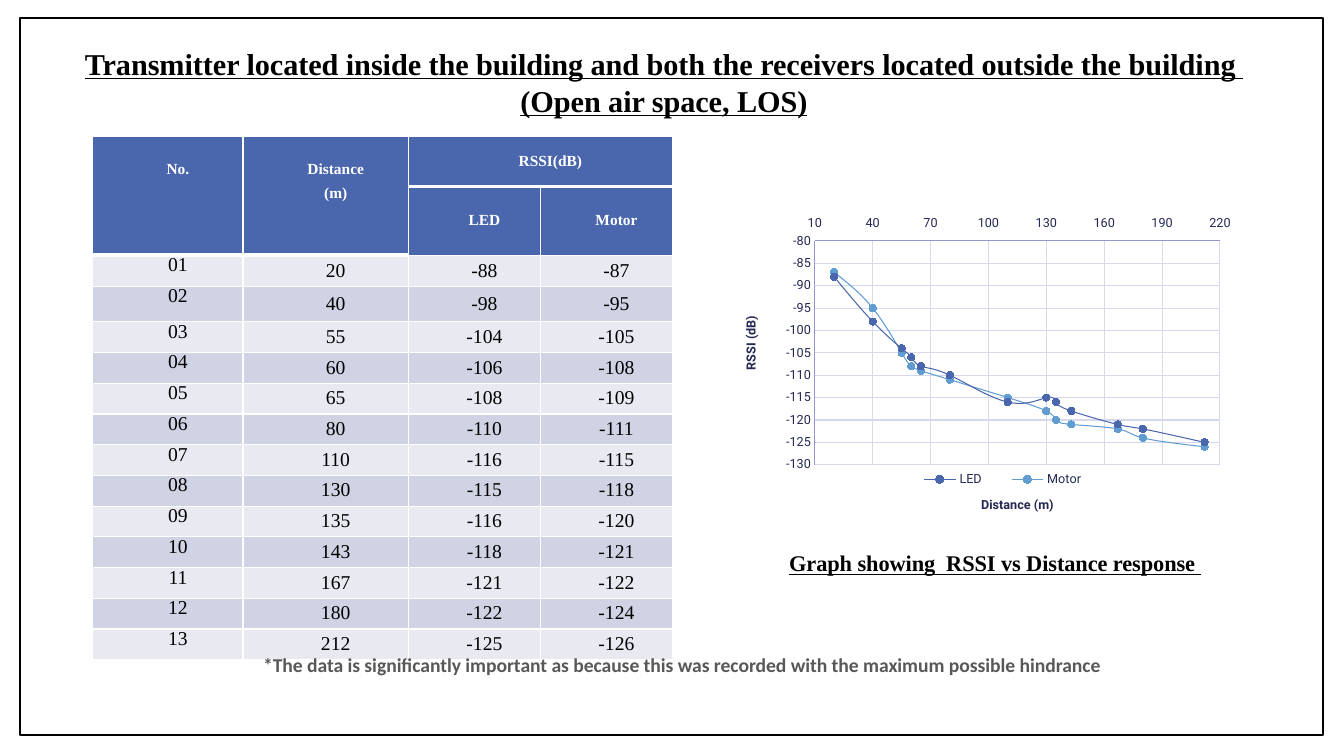
from lxml import etree
from pptx import Presentation
from pptx import util as u
from pptx.chart.data import XyChartData
from pptx.dml.color import RGBColor
from pptx.enum import chart as ch, shapes, text
from pptx.oxml import parse_xml
from pptx.oxml.ns import nsdecls, qn

BLACK = RGBColor(0x00, 0x00, 0x00)
WHITE = RGBColor(0xFF, 0xFF, 0xFF)
GRAY = RGBColor(0x58, 0x58, 0x58)
BLUE = RGBColor(0x4A, 0x66, 0xAC)
SKY = RGBColor(0x62, 0x9D, 0xD1)
NAVY = RGBColor(0x24, 0x28, 0x52)
AXIS = RGBColor(0x92, 0x97, 0xCF)
GRID = RGBColor(0xD6, 0xD8, 0xED)
BANDS = (RGBColor(0xE9, 0xEA, 0xF1), RGBColor(0xD0, 0xD3, 0xE3))

DISTANCE = [20, 40, 55, 60, 65, 80, 110, 130, 135, 143, 167, 180, 212]
LED = [-88, -98, -104, -106, -108, -110, -116, -115, -116, -118, -121, -122, -125]
MOTOR = [-87, -95, -105, -108, -109, -111, -115, -118, -120, -121, -122, -124, -126]


class SlideBuilder:
    serif = "Times New Roman"
    sans = "Calibri"
    chart_font = "Roboto"

    def __init__(self, slide):
        self.s = slide

    def font(self, font, name, size, color, bold=False, underline=False):
        font.name, font.size = name, u.Pt(size)
        font.bold, font.underline = bold, underline
        font.color.rgb = color

    def textbox(self, box, words, name, size, color, underline=False,
                align=text.PP_ALIGN.CENTER, margins=(0.1, 0.05), spacing=-5, line=None):
        tf = self.s.shapes.add_textbox(*map(u.Inches, box)).text_frame
        tf.word_wrap = True
        tf.margin_left = tf.margin_right = u.Inches(margins[0])
        tf.margin_top = tf.margin_bottom = u.Inches(margins[1])
        tf.text = words
        p = tf.paragraphs[0]
        p.alignment, p.line_spacing = align, line
        for r in p.runs:
            self.font(r.font, name, size, color, True, underline)
            r.font._element.set("spc", str(spacing))

    def frame(self, box, width):
        sp = self.s.shapes.add_shape(shapes.MSO_SHAPE.RECTANGLE, *map(u.Inches, box))
        sp.shadow.inherit = False
        sp.fill.background()
        sp.line.color.rgb, sp.line.width = BLACK, u.Pt(width)

    def table(self, box, widths, heights):
        gf = self.s.shapes.add_table(len(heights), len(widths), *map(u.Inches, box))
        tbl = gf.table
        tbl.first_row = tbl.horz_banding = False
        for col, w in zip(tbl.columns, widths):
            col.width = u.Inches(w)
        for row, h in zip(tbl.rows, heights):
            row.height = u.Inches(h)
        return tbl

    def cell(self, cell, words, size, color, fill, bold=False, top=None, bottom_line=1):
        """Fill one cell; a given top margin anchors its text at the top."""
        cell.margin_left, cell.margin_right = u.Inches(0.27), u.Inches(0.07)
        cell.margin_top, cell.margin_bottom = u.Inches(top or 0), 0
        cell.vertical_anchor = (text.MSO_ANCHOR.MIDDLE if top is None
                                else text.MSO_ANCHOR.TOP)
        cell.fill.solid()
        cell.fill.fore_color.rgb = fill
        cell.text_frame.text = words
        for p in cell.text_frame.paragraphs:
            p.alignment, p.line_spacing = text.PP_ALIGN.CENTER, 0.95
            self.font(p.font, self.serif, size, color, bold)
            for r in p.runs:
                self.font(r.font, self.serif, size, color, bold)
        for p in cell.text_frame.paragraphs[:-1]:
            p.space_after = u.Pt(6)
        tcPr = cell._tc.get_or_add_tcPr()
        for i, side in enumerate("LRTB"):
            width = u.Pt(bottom_line if side == "B" else 1)
            tcPr.insert(i, parse_xml(
                f'<a:ln{side} {nsdecls("a")} w="{width}"><a:solidFill>'
                f'<a:srgbClr val="{WHITE}"/></a:solidFill></a:ln{side}>'))

    def place(self, element, index, inner=False, **fractions):
        """Give a chart part a manual layout in fractions of the chart."""
        old = element.find(qn("c:layout"))
        if old is not None:
            element.remove(old)
        layout = parse_xml(f'<c:layout {nsdecls("c")}><c:manualLayout/></c:layout>')
        values = {"layoutTarget": "inner"} if inner else {}
        values.update(xMode="edge", yMode="edge", **fractions)
        for tag, value in values.items():
            etree.SubElement(layout[0], qn(f"c:{tag}")).set("val", str(value))
        element.insert(index, layout)

    def axis(self, axis, title, low, high, step, x, y):
        axis.minimum_scale, axis.maximum_scale, axis.major_unit = low, high, step
        axis.major_tick_mark = axis.minor_tick_mark = ch.XL_TICK_MARK.NONE
        axis.has_major_gridlines = True
        for line, color in ((axis.format.line, AXIS), (axis.major_gridlines.format.line, GRID)):
            line.color.rgb, line.width = color, u.Pt(0.75)
        self.font(axis.tick_labels.font, self.chart_font, 9, NAVY)
        tf = axis.axis_title.text_frame
        tf.text = title
        self.font(tf.paragraphs[0].runs[0].font, self.chart_font, 9, NAVY, True)
        self.place(axis.axis_title._element, 1, x=x, y=y)

    def scatter(self, box, xs, series):
        data = XyChartData()
        for name, ys, _ in series:
            points = data.add_series(name)
            for x, y in zip(xs, ys):
                points.add_data_point(x, y)
        chart = self.s.shapes.add_chart(ch.XL_CHART_TYPE.XY_SCATTER_SMOOTH,
                                        *map(u.Inches, box), data).chart
        chart.has_title = False
        self.font(chart.font, self.chart_font, 10, BLACK)
        plot = chart.plots[0]
        plot.vary_by_categories = False
        for ser, (_, _, color) in zip(plot.series, series):
            ser._element.find(qn("c:smooth")).set("val", "1")
            ser.marker.style, ser.marker.size = ch.XL_MARKER_STYLE.CIRCLE, 5
            ser.marker.format.fill.solid()
            ser.marker.format.fill.fore_color.rgb = color
            for line in (ser.format.line, ser.marker.format.line):
                line.color.rgb, line.width = color, u.Pt(0.75)
        self.axis(chart.category_axis, "Distance (m)", 10, 220, 30, 0.463, 0.91)
        self.axis(chart.value_axis, "RSSI (dB)", -130, -80, 5, 0.04, 0.375)
        # The distance axis runs along the top, with its labels above it
        chart.value_axis.crosses = ch.XL_AXIS_CROSSES.MINIMUM
        chart.category_axis.crosses = ch.XL_AXIS_CROSSES.MINIMUM
        chart.value_axis.crosses = ch.XL_AXIS_CROSSES.AUTOMATIC
        chart.category_axis.tick_label_position = ch.XL_TICK_LABEL_POSITION.HIGH
        chart.has_legend = True
        chart.legend.position = ch.XL_LEGEND_POSITION.BOTTOM
        chart.legend.include_in_layout = False
        self.font(chart.legend.font, self.chart_font, 9, NAVY)
        self.place(chart.legend._element, 1, x=0.32, y=0.83, w=0.37, h=0.07)
        plot_area = chart._chartSpace.find(".//" + qn("c:plotArea"))
        self.place(plot_area, 0, inner=True, x=0.172, y=0.161, w=0.719, h=0.661)


def main():
    prs = Presentation()
    prs.slide_width, prs.slide_height = u.Inches(13.33), u.Inches(7.5)
    b = SlideBuilder(prs.slides.add_slide(prs.slide_layouts[6]))

    # Title
    b.textbox((0.46, 0.39, 12.25, 0.85),
              "Transmitter located inside the building and both the receivers "
              "located outside the building \v(Open air space, LOS)",
              b.serif, 21.6, BLACK, underline=True, line=1.02)

    # Table: two header rows, then one row per reading
    heights = [0.5, 0.65, 0.31, 0.35] + [0.305] * 11
    tbl = b.table((0.92, 1.35, 5.75, sum(heights)), (1.49, 1.64, 1.31, 1.31), heights)
    for start, end in (((0, 0), (1, 0)), ((0, 1), (1, 1)), ((0, 2), (0, 3))):
        tbl.cell(*start).merge(tbl.cell(*end))
    headers = [["No.", "Distance\n(m)", "RSSI(dB)", ""], ["", "", "LED", "Motor"]]
    for row, names in enumerate(headers):
        for col, name in enumerate(names):
            thick = row == 0 or col < 2
            b.cell(tbl.cell(row, col), name, 11, WHITE, BLUE, bold=True,
                   top=0.25 if col < 2 else None, bottom_line=3 if thick else 1)
    for i, reading in enumerate(zip(DISTANCE, LED, MOTOR)):
        for col, value in enumerate((f"{i + 1:02}", *reading)):
            b.cell(tbl.cell(i + 2, col), str(value), 14, BLACK, BANDS[i % 2],
                   top=0 if col == 0 else None)

    # Chart and its caption
    b.scatter((7.12, 1.85, 5.59, 3.36), DISTANCE,
              [("LED", LED, BLUE), ("Motor", MOTOR, SKY)])
    b.textbox((7.5, 5.4, 4.74, 0.37), "Graph showing  RSSI vs Distance response ",
              b.serif, 16, BLACK, underline=True)

    # Footnote
    b.textbox((2.6, 6.46, 8.46, 0.25),
              "*The data is significantly important as because this was recorded "
              "with the maximum possible hindrance",
              b.sans, 14, GRAY, align=text.PP_ALIGN.LEFT, margins=(0.01, 0.02))

    # Slide border
    b.frame((0.2, 0.18, 12.92, 7.11), 1.5)
    prs.save("out.pptx")


if __name__ == "__main__":
    main()
